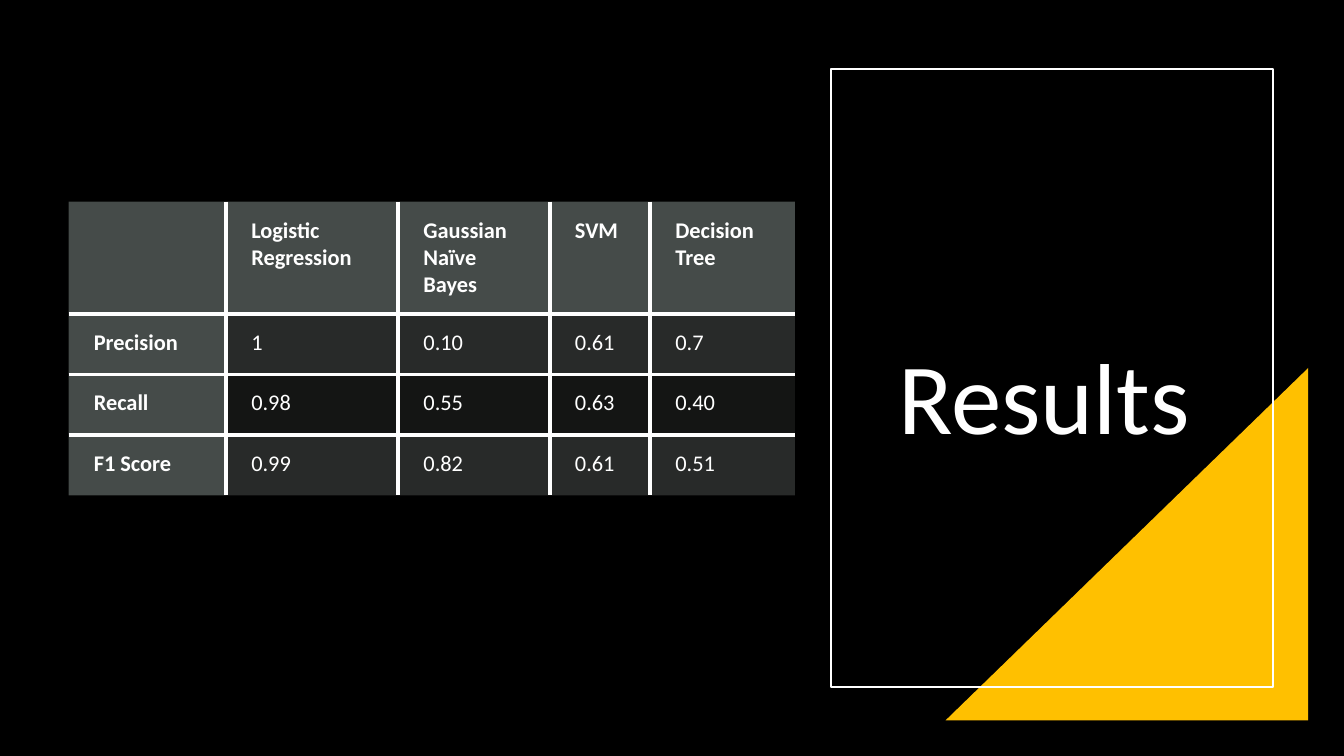
from lxml import etree
from pptx import Presentation
from pptx import util as u
from pptx.dml.color import RGBColor
from pptx.enum import shapes, text
from pptx.oxml.ns import qn

WHITE, BLACK, GOLD = "FFFFFF", "000000", "FFC000"
HEADING, BODY = "636B68", "878E8B"


def color(value):
    return RGBColor.from_string(value)


class Deck:
    font = "Calibri"
    ink = WHITE
    border = 3

    def __init__(self, width, height):
        self.prs = Presentation()
        self.prs.slide_width, self.prs.slide_height = u.Pt(width), u.Pt(height)

    def slide(self, background):
        self.s = self.prs.slides.add_slide(self.prs.slide_layouts[5])
        fill = self.s.background.fill
        fill.solid()
        fill.fore_color.rgb = color(background)

    def run(self, p, content, size, bold=False):
        r = p.add_run()
        r.text = content
        r.font.name, r.font.size, r.font.bold = self.font, u.Pt(size), bold
        r.font.color.rgb = color(self.ink)

    def shape(self, kind, box, fill=None, line=None, width=1.5, flip=False):
        sp = self.s.shapes.add_shape(kind, *map(u.Pt, box))
        sp.shadow.inherit = False
        if fill:
            sp.fill.solid()
            sp.fill.fore_color.rgb = color(fill)
        else:
            sp.fill.background()
        if line:
            sp.line.color.rgb = color(line)
            sp.line.width = u.Pt(width)
        else:
            sp.line.fill.background()
        if flip:
            sp._element.spPr.find(qn("a:xfrm")).set("flipH", "1")

    def title(self, content, box, size):
        sp = self.s.shapes.title
        sp.left, sp.top, sp.width, sp.height = map(u.Pt, box)
        self.s.shapes._spTree.append(sp._element)
        tf = sp.text_frame
        tf.word_wrap = True
        tf.auto_size = text.MSO_AUTO_SIZE.NONE
        tf.vertical_anchor = text.MSO_ANCHOR.BOTTOM
        p = tf.paragraphs[0]
        p.alignment = text.PP_ALIGN.LEFT
        p.line_spacing = 0.9
        self.run(p, content, size)

    def cell_borders(self, cell, sides):
        tc_pr = cell._tc.get_or_add_tcPr()
        for i, (side, shown) in enumerate(sides.items()):
            ln = etree.Element(qn(f"a:ln{side}"), w=str(u.Pt(self.border)))
            if shown:
                fill = etree.SubElement(ln, qn("a:solidFill"))
                etree.SubElement(fill, qn("a:srgbClr"), val=WHITE)
            else:
                etree.SubElement(ln, qn("a:noFill"))
            tc_pr.insert(i, ln)

    def cell_fill(self, cell, value, opacity):
        cell.fill.solid()
        cell.fill.fore_color.rgb = color(value)
        srgb = cell._tc.tcPr.find(".//" + qn("a:srgbClr"))
        etree.SubElement(srgb, qn("a:alpha"), val=str(opacity * 1000))

    def table(self, left, top, widths, heights, rows, size):
        box = map(u.Pt, (left, top, sum(widths), sum(heights)))
        table = self.s.shapes.add_table(len(heights), len(widths), *box).table
        for column, width in zip(table.columns, widths):
            column.width = u.Pt(width)
        for row, height in zip(table.rows, heights):
            row.height = u.Pt(height)
        for i, values in enumerate(rows):
            for j, value in enumerate(values):
                cell = table.cell(i, j)
                heading = i == 0 or j == 0
                cell.margin_left = u.Pt(18)
                cell.margin_right = cell.margin_top = cell.margin_bottom = u.Pt(10.8)
                if value:
                    self.run(cell.text_frame.paragraphs[0], value, size, heading)
                if heading:
                    self.cell_fill(cell, HEADING, 70)
                else:
                    self.cell_fill(cell, BODY, 30 if i % 2 else 15)
                self.cell_borders(cell, {
                    "L": j > 0, "R": j < len(widths) - 1,
                    "T": i > 0, "B": i < len(heights) - 1,
                })


def main():
    deck = Deck(960, 540)
    deck.slide(BLACK)
    deck.shape(shapes.MSO_SHAPE.RIGHT_TRIANGLE, (675.5, 262.8, 259, 251.7),
               fill=GOLD, flip=True)
    deck.shape(shapes.MSO_SHAPE.RECTANGLE, (593.3, 49.2, 316.1, 441.4), line=WHITE)
    deck.title("Results", (634.3, 83.5, 252, 246.2), 72)
    deck.table(49, 144, (112.5, 123, 108.2, 71.8, 103.4), (80,) + (43.2,) * 3, (
        ("", "Logistic Regression", "Gaussian Naïve Bayes", "SVM", "Decision Tree"),
        ("Precision", "1", "0.10", "0.61", "0.7"),
        ("Recall", "0.98", "0.55", "0.63", "0.40"),
        ("F1 Score", "0.99", "0.82", "0.61", "0.51"),
    ), 16)
    deck.prs.save("out.pptx")


if __name__ == "__main__":
    main()
